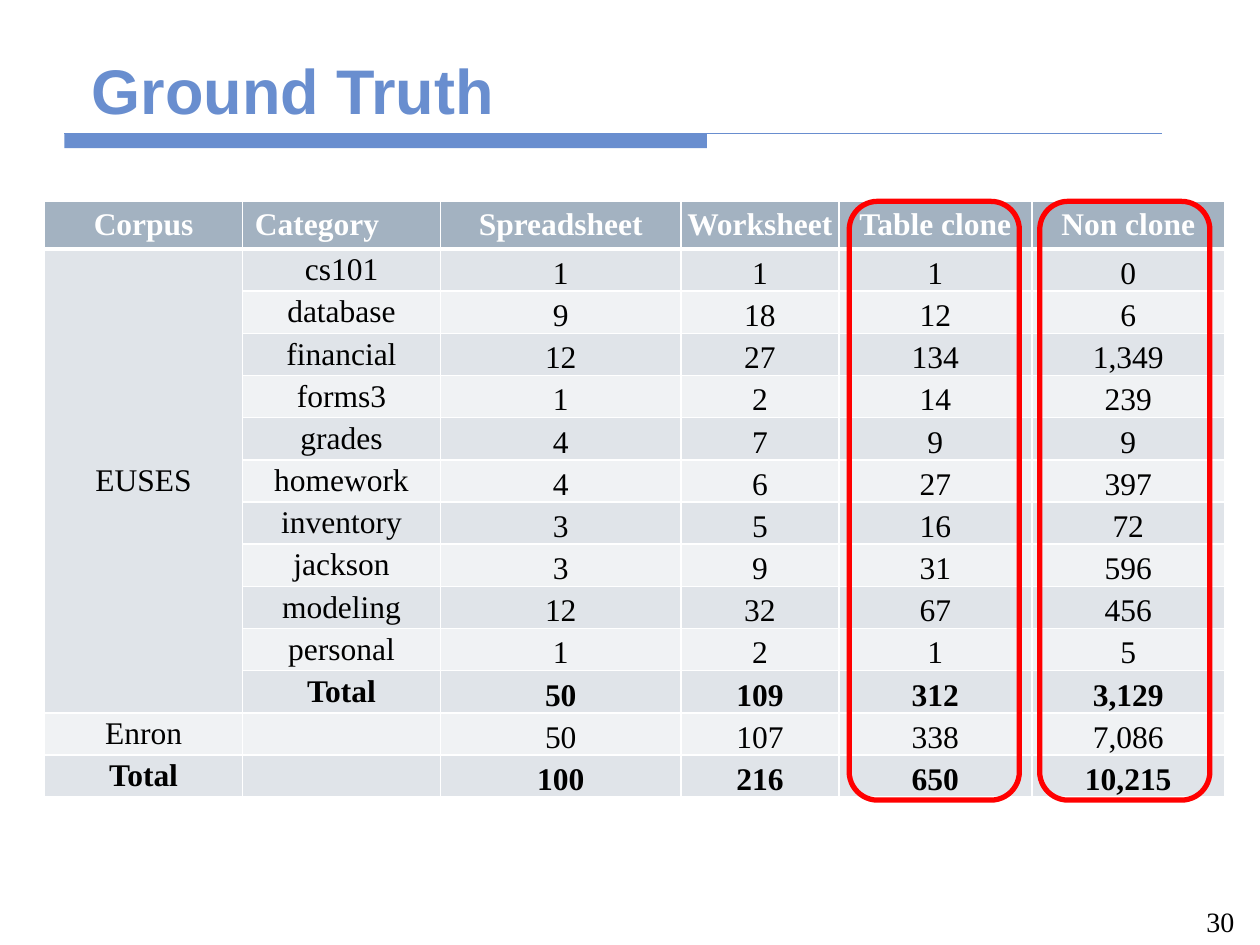
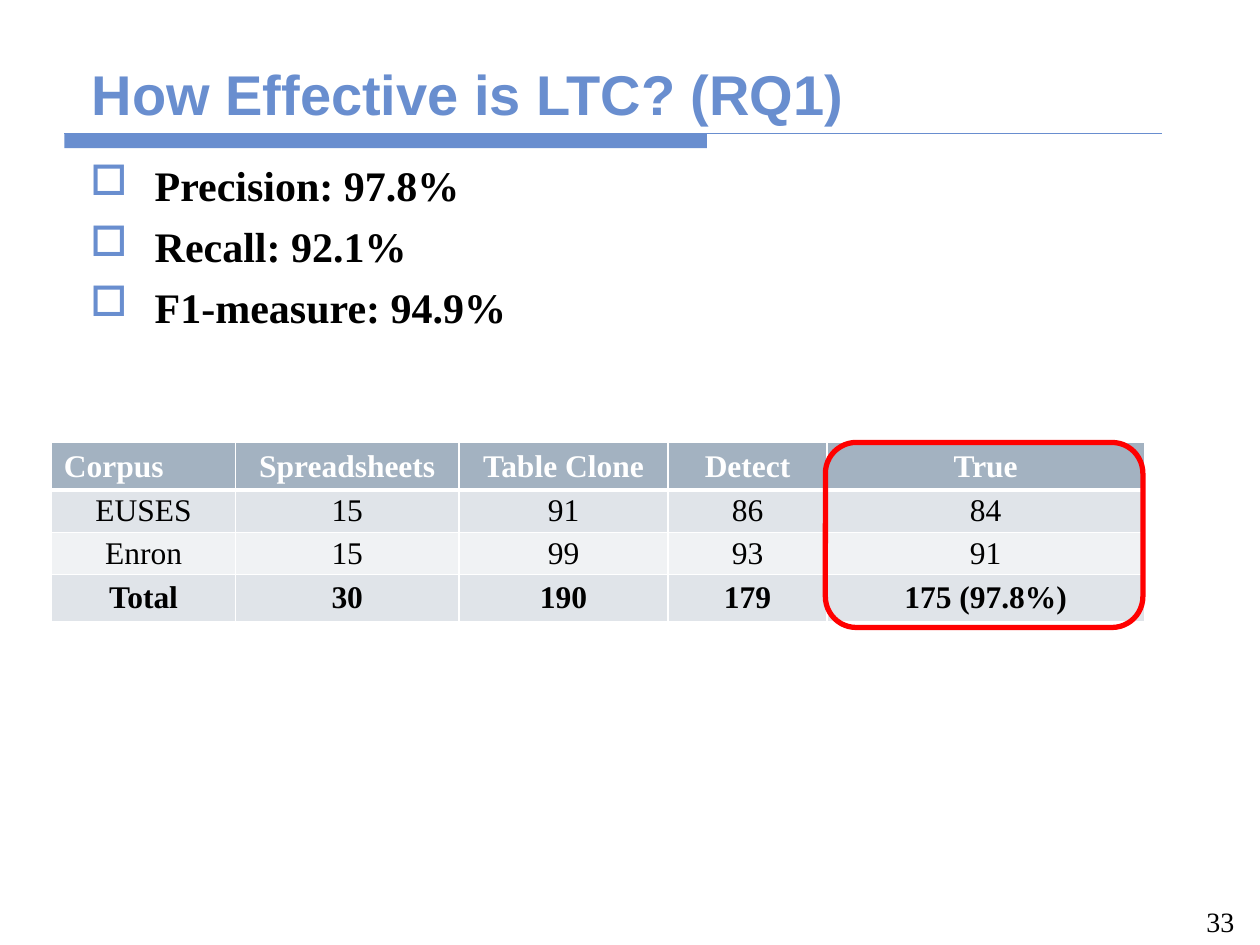
"""Build two slides on table clone detection: ground truth and effectiveness."""
from lxml import etree
from pptx import Presentation
from pptx.dml.color import RGBColor
from pptx.enum.shapes import MSO_CONNECTOR, MSO_SHAPE
from pptx.enum.text import MSO_ANCHOR, PP_ALIGN
from pptx.oxml.ns import qn
from pptx.util import Cm, Pt

BLUE = RGBColor(0x69, 0x8E, 0xCF)
HEADER_GREY = RGBColor(0xA3, 0xB2, 0xC1)
DARK_BAND = RGBColor(0xE0, 0xE4, 0xE9)
LIGHT_BAND = RGBColor(0xF0, 0xF2, 0xF4)
RED = RGBColor(0xFF, 0x00, 0x00)
BLACK = RGBColor(0x00, 0x00, 0x00)
WHITE = RGBColor(0xFF, 0xFF, 0xFF)

LEFT, CENTER = PP_ALIGN.LEFT, PP_ALIGN.CENTER
TOP, MIDDLE, BOTTOM = MSO_ANCHOR.TOP, MSO_ANCHOR.MIDDLE, MSO_ANCHOR.BOTTOM
RECTANGLE, ROUNDED = MSO_SHAPE.RECTANGLE, MSO_SHAPE.ROUNDED_RECTANGLE
STRAIGHT = MSO_CONNECTOR.STRAIGHT

TITLE_FONT, BODY_FONT = "Arial", "Times New Roman"
TALL_ROW, ROW = 0.96, 0.85

GROUND_TRUTH = [
    ["Corpus", "Category", "Spreadsheet", "Worksheet", "Table clone", "Non clone"],
    ["EUSES", "cs101", "1", "1", "1", "0"],
    ["", "database", "9", "18", "12", "6"],
    ["", "financial", "12", "27", "134", "1,349"],
    ["", "forms3", "1", "2", "14", "239"],
    ["", "grades", "4", "7", "9", "9"],
    ["", "homework", "4", "6", "27", "397"],
    ["", "inventory", "3", "5", "16", "72"],
    ["", "jackson", "3", "9", "31", "596"],
    ["", "modeling", "12", "32", "67", "456"],
    ["", "personal", "1", "2", "1", "5"],
    ["", "Total", "50", "109", "312", "3,129"],
    ["Enron", "", "50", "107", "338", "7,086"],
    ["Total", "", "100", "216", "650", "10,215"],
]
EFFECTIVENESS = [
    ["Corpus", "Spreadsheets", "Table Clone", "Detect", "True"],
    ["EUSES", "15", "91", "86", "84"],
    ["Enron", "15", "99", "93", "91"],
    ["Total", "30", "190", "179", "175 (97.8%)"],
]


class Deck:
    """Hold the shared style and the current slide."""

    def __init__(self):
        self.presentation = Presentation()
        self.presentation.slide_width = Cm(25.4)
        self.presentation.slide_height = Cm(19.05)
        self.slide = None

    def add_slide(self, title, title_size, number):
        """Start a slide with its title, title rule and page number."""
        blank_layout = self.presentation.slide_layouts[6]
        self.slide = self.presentation.slides.add_slide(blank_layout)
        self.add_title_rule()
        self.add_text(title, 1.6, 0.84, 22.23, 1.85, BOTTOM, LEFT,
                      TITLE_FONT, title_size, BLUE, True)
        self.add_text(number, 23.8, 18.11, 1.6, 0.89, TOP, CENTER,
                      BODY_FONT, 16, BLACK, False)

    def add_title_rule(self):
        """Draw the thick bar and the thin line under the title."""
        line = self.slide.shapes.add_connector(
            STRAIGHT, Cm(1.3), Cm(2.69), Cm(23.42), Cm(2.69))
        line.line.color.rgb = BLUE
        line.line.width = Pt(0.75)
        etree.SubElement(line._element.spPr, qn("a:effectLst"))
        bar = self.slide.shapes.add_shape(
            RECTANGLE, Cm(1.3), Cm(2.69), Cm(12.95), Cm(0.3))
        bar.shadow.inherit = False
        bar.fill.solid()
        bar.fill.fore_color.rgb = BLUE
        bar.line.fill.background()

    def style_paragraph(self, paragraph, font, size, color, bold):
        """Set the font of a whole paragraph."""
        paragraph.font.name = font
        paragraph.font.size = Pt(size)
        paragraph.font.color.rgb = color
        paragraph.font.bold = bold

    def add_frame(self, left, top, width, height):
        """Add a wrapping text box and return its text frame."""
        box = self.slide.shapes.add_textbox(Cm(left), Cm(top), Cm(width), Cm(height))
        box.text_frame.word_wrap = True
        return box.text_frame

    def add_text(self, text, left, top, width, height, anchor, alignment,
                 font, size, color, bold):
        """Add a single paragraph in a text box."""
        frame = self.add_frame(left, top, width, height)
        frame.vertical_anchor = anchor
        paragraph = frame.paragraphs[0]
        paragraph.text = text
        paragraph.alignment = alignment
        self.style_paragraph(paragraph, font, size, color, bold)

    def add_bullets(self, items, left, top, width, height):
        """Add a list with blue square bullets."""
        frame = self.add_frame(left, top, width, height)
        for index, item in enumerate(items):
            paragraph = frame.add_paragraph() if index else frame.paragraphs[0]
            paragraph.text = item
            if index:
                paragraph.space_before = Pt(6)
            properties = paragraph._p.get_or_add_pPr()
            properties.set("marL", str(Cm(1.3)))
            properties.set("indent", str(-Cm(1.3)))
            bullet_color = etree.SubElement(properties, qn("a:buClr"))
            etree.SubElement(bullet_color, qn("a:srgbClr"), val=str(BLUE))
            etree.SubElement(properties, qn("a:buChar"), char="□")
            self.style_paragraph(paragraph, BODY_FONT, 24, BLACK, True)

    def add_borders(self, cell, top_width, bottom_width):
        """Give a table cell white borders."""
        properties = cell._tc.get_or_add_tcPr()
        widths = {"lnL": 1, "lnR": 1, "lnT": top_width, "lnB": bottom_width}
        for tag, width in widths.items():
            border = etree.SubElement(properties, qn(f"a:{tag}"), w=str(Pt(width)))
            fill = etree.SubElement(border, qn("a:solidFill"))
            etree.SubElement(fill, qn("a:srgbClr"), val=str(WHITE))

    def add_table(self, values, left, top, widths, heights, left_heading, bottom_from):
        """Add a banded table; columns from bottom_from on sit at the cell bottom."""
        table = self.slide.shapes.add_table(
            len(values), len(widths), Cm(left), Cm(top),
            Cm(sum(widths)), Cm(sum(heights))).table
        table.first_row = table.horz_banding = False
        for column, width in zip(table.columns, widths):
            column.width = Cm(width)
        for row_index, (row_values, height) in enumerate(zip(values, heights)):
            table.rows[row_index].height = Cm(height)
            is_header = row_index == 0
            bold = is_header or "Total" in row_values
            band = DARK_BAND if row_index % 2 else LIGHT_BAND
            for column_index, text in enumerate(row_values):
                cell = table.cell(row_index, column_index)
                is_left = is_header and column_index == left_heading
                at_bottom = not is_header and column_index >= bottom_from
                self.add_borders(cell, 3 if row_index == 1 else 1, 3 if is_header else 1)
                cell.fill.solid()
                cell.fill.fore_color.rgb = HEADER_GREY if is_header else band
                cell.margin_left = cell.margin_right = Cm(0.25 if is_left else 0.05)
                cell.margin_top = cell.margin_bottom = 0
                cell.vertical_anchor = BOTTOM if at_bottom else MIDDLE
                paragraph = cell.text_frame.paragraphs[0]
                paragraph.text = text
                paragraph.alignment = LEFT if is_left else CENTER
                self.style_paragraph(paragraph, BODY_FONT, 18,
                                     WHITE if is_header else BLACK, bold)
        return table

    def add_highlight(self, left, top, width, height):
        """Outline a table column in red."""
        frame = self.slide.shapes.add_shape(
            ROUNDED, Cm(left), Cm(top), Cm(width), Cm(height))
        frame.shadow.inherit = False
        frame.fill.background()
        frame.line.color.rgb = RED
        frame.line.width = Pt(3)


def main():
    """Build both slides and save them."""
    deck = Deck()

    deck.add_slide("Ground Truth", 36, "30")
    table = deck.add_table(
        GROUND_TRUTH, 0.9, 4.06, [3.99, 3.99, 4.85, 3.18, 3.89, 3.89],
        [TALL_ROW] + [ROW] * 13, left_heading=1, bottom_from=2)
    table.cell(1, 0).merge(table.cell(11, 0))
    for left in (17.12, 20.96):
        deck.add_highlight(left, 4.06, 3.43, 12.07)

    deck.add_slide("How Effective is LTC? (RQ1)", 32, "33")
    deck.add_table(
        EFFECTIVENESS, 1.04, 8.92, [3.71, 4.5, 4.22, 3.2, 6.4],
        [TALL_ROW, ROW, ROW, TALL_ROW], left_heading=0, bottom_from=5)
    deck.add_highlight(16.64, 8.92, 6.4, 3.73)
    deck.add_bullets(["Precision: 97.8%", "Recall: 92.1%", "F1-measure: 94.9%"],
                     1.57, 3.1, 22.23, 3.73)

    deck.presentation.save("out.pptx")


if __name__ == "__main__":
    main()
